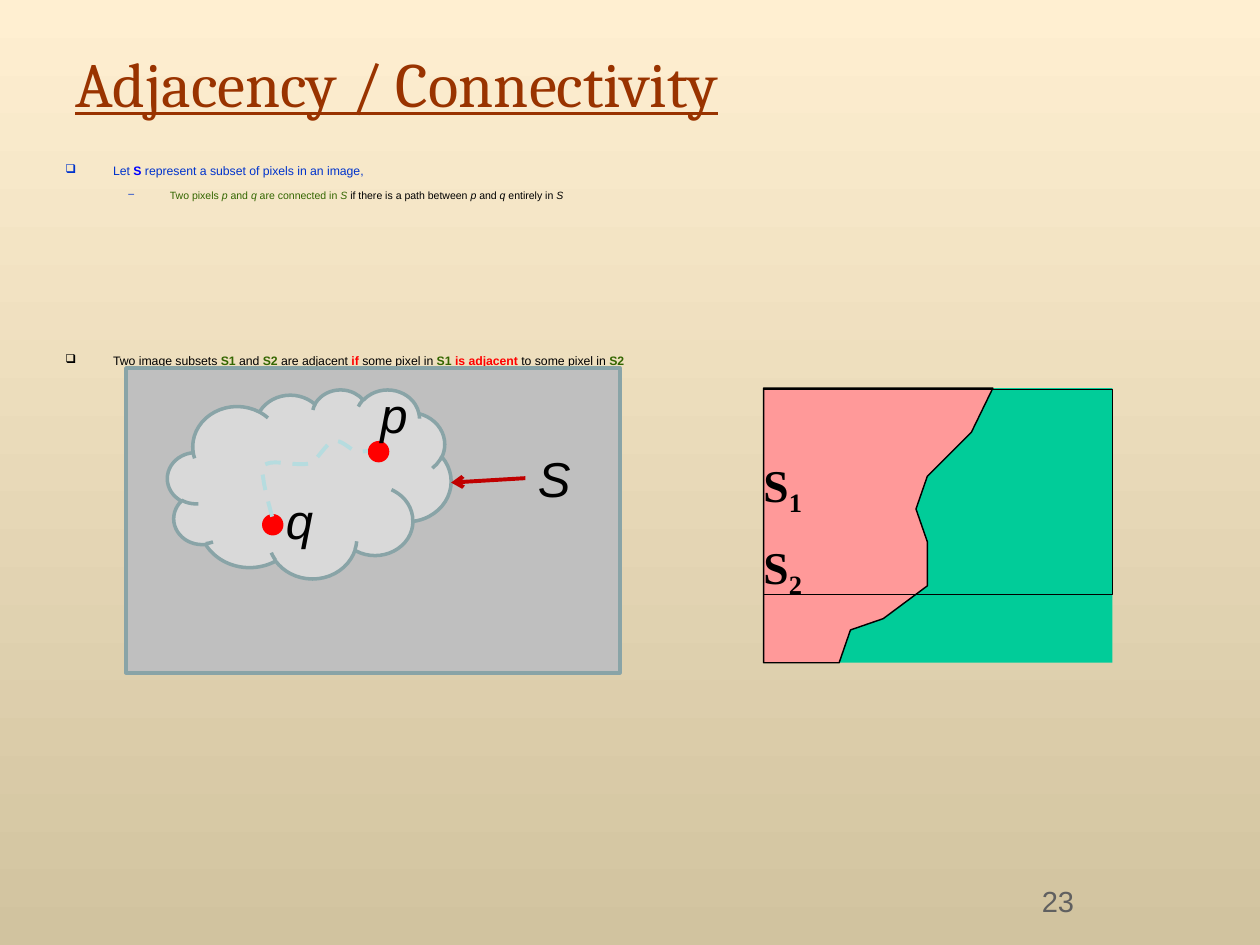
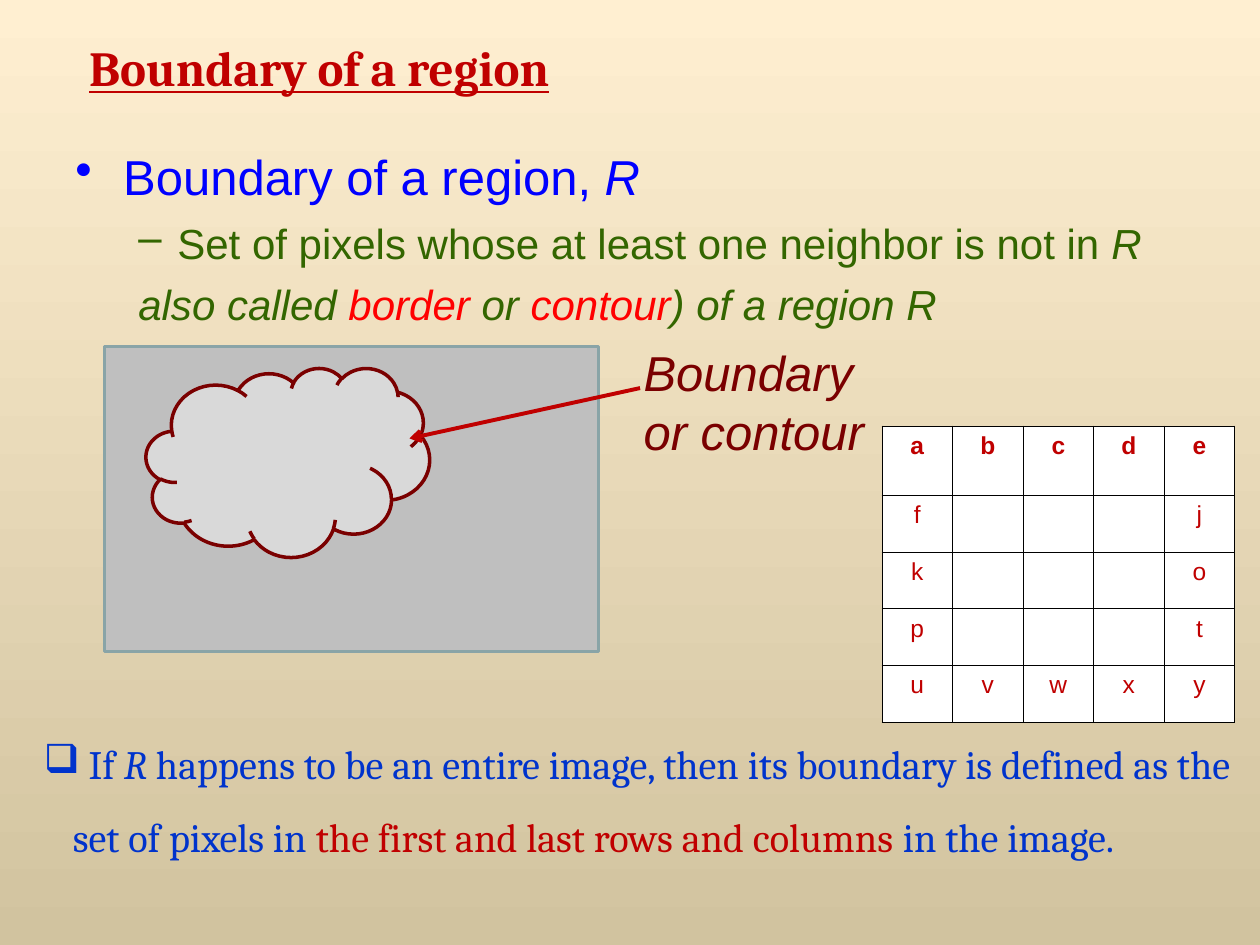
from dataclasses import dataclass
from typing import Optional

from lxml.etree import SubElement
from pptx import Presentation
from pptx.dml.color import RGBColor
from pptx.enum.dml import MSO_LINE
from pptx.enum.shapes import MSO_CONNECTOR, MSO_SHAPE
from pptx.enum.text import MSO_ANCHOR, PP_ALIGN
from pptx.oxml.ns import qn
from pptx.util import Inches, Pt

SAND_LIGHT = RGBColor(0xFF, 0xEF, 0xD1)
SAND_DARK = RGBColor(0xD1, 0xC3, 0x9F)
BLACK = RGBColor(0, 0, 0)
WHITE = RGBColor(0xFF, 0xFF, 0xFF)
BLUE = RGBColor(0x00, 0x33, 0xCC)
BRIGHT_BLUE = RGBColor(0, 0, 0xFF)
GREEN = RGBColor(0x33, 0x66, 0x00)
RED = RGBColor(0xFF, 0, 0)
CRIMSON = RGBColor(0xC0, 0, 0)
MAROON = RGBColor(0x7A, 0, 0)
RUST = RGBColor(0x99, 0x33, 0x00)
GRAY = RGBColor(0xBF, 0xBF, 0xBF)
CLOUD_GRAY = RGBColor(0xD9, 0xD9, 0xD9)
NUMBER_GRAY = RGBColor(0x60, 0x60, 0x60)
STEEL = RGBColor(0x89, 0xA4, 0xA7)
PALE_BLUE = RGBColor(0xB6, 0xDC, 0xDF)
TEAL = RGBColor(0x01, 0xCC, 0x99)
PINK = RGBColor(0xFF, 0x99, 0x99)

Point = tuple[float, float]


@dataclass
class Span:
    text: str
    color: RGBColor = BLACK
    bold: bool = False
    italic: bool = False
    underline: bool = False
    subscript: bool = False


@dataclass
class Para:
    spans: list[Span]
    size: float
    font: str = "Arial"
    bullet: str = ""
    bullet_color: RGBColor = BLACK
    margin: float = 0
    hanging: float = 0
    before: float = 0
    line_spacing: Optional[float] = None


@dataclass
class Area:
    left: float
    top: float
    width: float
    height: float

    def lengths(self) -> list:
        return [Inches(n) for n in (self.left, self.top, self.width, self.height)]


# Text
def write_para(para, content: Para) -> None:
    properties = para._p.get_or_add_pPr()
    properties.set("marL", str(Inches(content.margin)))
    properties.set("indent", str(-Inches(content.hanging)))
    if content.bullet:
        color = SubElement(properties, qn("a:buClr"))
        SubElement(color, qn("a:srgbClr"), val=str(content.bullet_color))
        SubElement(properties, qn("a:buChar"), char=content.bullet)
    para.space_before = Pt(content.before)
    if content.line_spacing:
        para.line_spacing = content.line_spacing
    for part in content.spans:
        span = para.add_run()
        span.text = part.text
        font = span.font
        font.name, font.size = content.font, Pt(content.size)
        font.bold, font.italic, font.underline = part.bold, part.italic, part.underline
        font.color.rgb = part.color
        if part.subscript:
            span._r.get_or_add_rPr().set("baseline", "-21000")


def fill_frame(frame, paras: list[Para]) -> None:
    for index, content in enumerate(paras):
        write_para(frame.add_paragraph() if index else frame.paragraphs[0], content)


def add_text(page, area: Area, paras: list[Para], anchor=MSO_ANCHOR.TOP, wrap: bool = True):
    box = page.shapes.add_textbox(*area.lengths())
    box.text_frame.word_wrap = wrap
    box.text_frame.vertical_anchor = anchor
    fill_frame(box.text_frame, paras)
    return box


def add_title(page, area: Area, size: float, color: RGBColor, bold: bool = False) -> None:
    title = Para([Span(page_titles[page.slide_id], color, bold=bold, underline=True)], size, "Cambria")
    add_text(page, area, [title], MSO_ANCHOR.MIDDLE, wrap=False)


# Shapes
def paint(shape, fill: Optional[RGBColor], line: Optional[RGBColor], width: float) -> None:
    shape.shadow.inherit = False
    if fill is None:
        shape.fill.background()
    else:
        shape.fill.solid()
        shape.fill.fore_color.rgb = fill
    if line is None:
        shape.line.fill.background()
    else:
        shape.line.color.rgb = line
        shape.line.width = Pt(width)


def add_figure(page, kind, area: Area, fill: Optional[RGBColor],
               line: Optional[RGBColor] = None, width: float = 2):
    shape = page.shapes.add_shape(kind, *area.lengths())
    paint(shape, fill, line, width)
    return shape


def add_outline(page, points: list[Point], fill: Optional[RGBColor],
                line: Optional[RGBColor], width: float, close: bool):
    corners = [(Inches(x), Inches(y)) for x, y in points]
    builder = page.shapes.build_freeform(*corners[0])
    builder.add_line_segments(corners[1:], close=close)
    shape = builder.convert_to_shape()
    paint(shape, fill, line, width)
    return shape


def smooth_path(knots: list[Point], steps: int = 8) -> list[Point]:
    """Sample a chain of cubic curves: start, then two handles and an end each."""
    points = [knots[0]]
    for first in range(0, len(knots) - 1, 3):
        curve = knots[first:first + 4]
        for step in range(1, steps + 1):
            t = step / steps
            weights = ((1 - t) ** 3, 3 * t * (1 - t) ** 2, 3 * t * t * (1 - t), t ** 3)
            points.append((sum(w * p[0] for w, p in zip(weights, curve)),
                           sum(w * p[1] for w, p in zip(weights, curve))))
    return points


def add_arrow(page, start: Point, end: Point, source=None) -> None:
    arrow = page.shapes.add_connector(MSO_CONNECTOR.STRAIGHT, *[Inches(n) for n in start + end])
    if source is not None:
        arrow.begin_connect(source, 1)
    arrow.line.color.rgb = CRIMSON
    arrow.line.width = Pt(2.25)
    SubElement(arrow.line._get_or_add_ln(), qn("a:tailEnd"), type="arrow")
    SubElement(arrow._element.spPr, qn("a:effectLst"))


def add_region(page, left: float, top: float, edge: RGBColor) -> None:
    """Gray image frame with a cloud-shaped region in it."""
    add_figure(page, MSO_SHAPE.RECTANGLE, Area(left, top, 3.92, 2.42), GRAY, STEEL)
    add_figure(page, MSO_SHAPE.CLOUD, Area(left + 0.33, top + 0.17, 2.25, 1.5), CLOUD_GRAY, edge)


def add_page(deck, title: str):
    page = deck.slides.add_slide(deck.slide_layouts[6])
    fill = page.background.fill
    fill.gradient()
    fill.gradient_angle = 270
    for stop, color in zip(fill.gradient_stops, (SAND_LIGHT, SAND_DARK)):
        stop.color.rgb = color
    page_titles[page.slide_id] = title
    return page


# Slide: adjacency and connectivity
def build_connectivity(deck) -> None:
    page = add_page(deck, "Adjacency / Connectivity")
    add_text(page, Area(0.42, 1.25, 9, 2.5), [
        Para([Span("Let ", BLUE), Span("S", BRIGHT_BLUE, bold=True),
              Span(" represent a subset of pixels in an image,", BLUE)],
             7, bullet="❑", bullet_color=BLUE, margin=0.38, hanging=0.38),
        Para([Span("Two pixels ", GREEN), Span("p", GREEN, italic=True),
              Span(" and ", GREEN), Span("q", GREEN, italic=True),
              Span(" are connected in ", GREEN), Span("S ", GREEN, italic=True),
              Span("if there is a path between "), Span("p", italic=True),
              Span(" and "), Span("q", italic=True),
              Span(" entirely in "), Span("S", italic=True)],
             6, bullet="–", bullet_color=BLUE, margin=0.83, hanging=0.33, before=6),
        Para([Span("Two image subsets "), Span("S1", GREEN, bold=True),
              Span(" and "), Span("S2", GREEN, bold=True),
              Span(" are adjacent "), Span("if", RED, bold=True),
              Span(" some pixel in "), Span("S1 ", GREEN, bold=True),
              Span("is adjacent ", RED, bold=True),
              Span("to some pixel in "), Span("S2", GREEN, bold=True)],
             7, bullet="❑", margin=0.38, hanging=0.38, before=86.5)])

    # Path from q to p inside S
    add_region(page, 1, 2.92, STEEL)
    for left, top in ((2.08, 4.08), (2.92, 3.5)):
        add_figure(page, MSO_SHAPE.OVAL, Area(left, top, 0.17, 0.17), RED)
    knots = [(2.16, 4.1), (2.13, 3.99), (2.1, 3.88), (2.09, 3.8), (2.08, 3.73), (2.06, 3.7),
             (2.12, 3.68), (2.18, 3.65), (2.36, 3.7), (2.45, 3.68), (2.53, 3.65), (2.58, 3.52),
             (2.65, 3.5), (2.71, 3.49), (2.77, 3.56), (2.82, 3.58), (2.86, 3.59), (2.9, 3.58),
             (2.92, 3.58)]
    path_line = add_outline(page, smooth_path(knots), None, PALE_BLUE, 2.25, close=False)
    path_line.line.dash_style = MSO_LINE.DASH
    labels = {}
    for name, left, top in (("p", 2.92, 3), ("q", 2.17, 3.84), ("S", 4.17, 3.51)):
        labels[name] = add_text(page, Area(left, top, 0.58, 0.57),
                                [Para([Span(name, italic=True)], 28)])
    add_arrow(page, (4.17, 3.8), (3.58, 3.83), labels["S"])
    add_title(page, Area(0.5, 0.3, 9, 0.7), 36, RUST)
    add_text(page, Area(8.17, 6.95, 1.33, 0.4), [Para([Span("23", NUMBER_GRAY)], 16.6)],
             MSO_ANCHOR.MIDDLE)

    # Adjacent subsets S1 and S2
    add_figure(page, MSO_SHAPE.RECTANGLE, Area(6.06, 3.08, 2.77, 2.18), TEAL)
    subset_corners = [(6.06, 3.08), (7.88, 3.08), (7.71, 3.43), (7.36, 3.78), (7.27, 4.04),
                      (7.36, 4.3), (7.36, 4.65), (7.01, 4.91), (6.75, 5), (6.66, 5.26),
                      (6.06, 5.26)]
    add_outline(page, subset_corners, PINK, BLACK, 0.82, close=True)
    names = add_figure(page, MSO_SHAPE.RECTANGLE, Area(6.06, 3.09, 2.77, 1.63), None, BLACK, 0.82)
    frame = names.text_frame
    frame.margin_left = frame.margin_right = frame.margin_bottom = 0
    frame.margin_top = Inches(0.54)
    frame.vertical_anchor = MSO_ANCHOR.TOP
    fill_frame(frame, [
        Para([Span("S", bold=True), Span(digit, bold=True, subscript=True)],
             26, "Times New Roman", before=before)
        for digit, before in (("1", 0), ("2", 12.4))])
    for para in frame.paragraphs:
        para.alignment = PP_ALIGN.LEFT


# Slide: boundary of a region
def add_letter_grid(page, rows: list[str]) -> None:
    size = len(rows)
    table = page.shapes.add_table(size, size, *Area(7, 3.38, 2.79, 2.34).lengths()).table
    table.first_row = table.horz_banding = False
    for column in table.columns:
        column.width = Inches(0.56)
    for index, letters in enumerate(rows):
        table.rows[index].height = Inches(0.45 if index else 0.55)
        for place, letter in enumerate(letters):
            cell = table.cell(index, place)
            properties = cell._tc.get_or_add_tcPr()
            for side in ("lnL", "lnR", "lnT", "lnB"):
                border = SubElement(properties, qn(f"a:{side}"), w=str(Pt(0.45)))
                SubElement(SubElement(border, qn("a:solidFill")), qn("a:srgbClr"), val=str(BLACK))
            cell.fill.solid()
            cell.fill.fore_color.rgb = WHITE
            if letter != " ":
                fill_frame(cell.text_frame, [Para([Span(letter, CRIMSON, bold=index == 0)], 14)])
                cell.text_frame.paragraphs[0].alignment = PP_ALIGN.CENTER


def build_boundary(deck) -> None:
    page = add_page(deck, "Boundary of a region")
    add_text(page, Area(0.5, 1.11, 9, 2.5), [
        Para([Span("Boundary of a region, ", BRIGHT_BLUE), Span("R", BRIGHT_BLUE, italic=True)],
             28, bullet="•", bullet_color=BRIGHT_BLUE, margin=0.38, hanging=0.38),
        Para([Span("Set of pixels whose at least one neighbor is not in ", GREEN),
              Span("R", GREEN, italic=True)],
             24, bullet="–", bullet_color=GREEN, margin=0.81, hanging=0.31, before=7),
        Para([Span(text, color, italic=True) for text, color in (
            ("also called ", GREEN), ("border", RED), (" or ", GREEN),
            ("contour", RED), (") of a region R", GREEN))],
             24, margin=0.81, hanging=0.31, before=6)])
    add_region(page, 0.83, 2.75, MAROON)
    add_text(page, Area(5.01, 2.67, 2.17, 1.04),
             [Para([Span("Boundary or contour", MAROON, italic=True)], 28)])
    add_arrow(page, (5.08, 3.08), (3.25, 3.48))
    add_text(page, Area(0.25, 5.63, 9.67, 1.83), [
        Para([Span(" If ", BLUE), Span("R", BLUE, italic=True),
              Span(" happens to be an entire image, then its boundary is defined as the"
                   " set of pixels in ", BLUE),
              Span("the first and last rows and columns ", CRIMSON),
              Span("in the image.", BLUE)],
             23, "Cambria", bullet="❑", bullet_color=BLUE, margin=0.23, hanging=0.23,
             line_spacing=1.5)])
    add_title(page, Area(0.61, 0.25, 4.34, 0.57), 28, CRIMSON, bold=True)
    add_letter_grid(page, ["abcde", "f   j", "k   o", "p   t", "uvwxy"])


page_titles: dict[int, str] = {}


def main() -> None:
    deck = Presentation()
    deck.slide_width, deck.slide_height = Inches(10), Inches(7.5)
    build_connectivity(deck)
    build_boundary(deck)
    deck.save("out.pptx")


if __name__ == "__main__":
    main()
